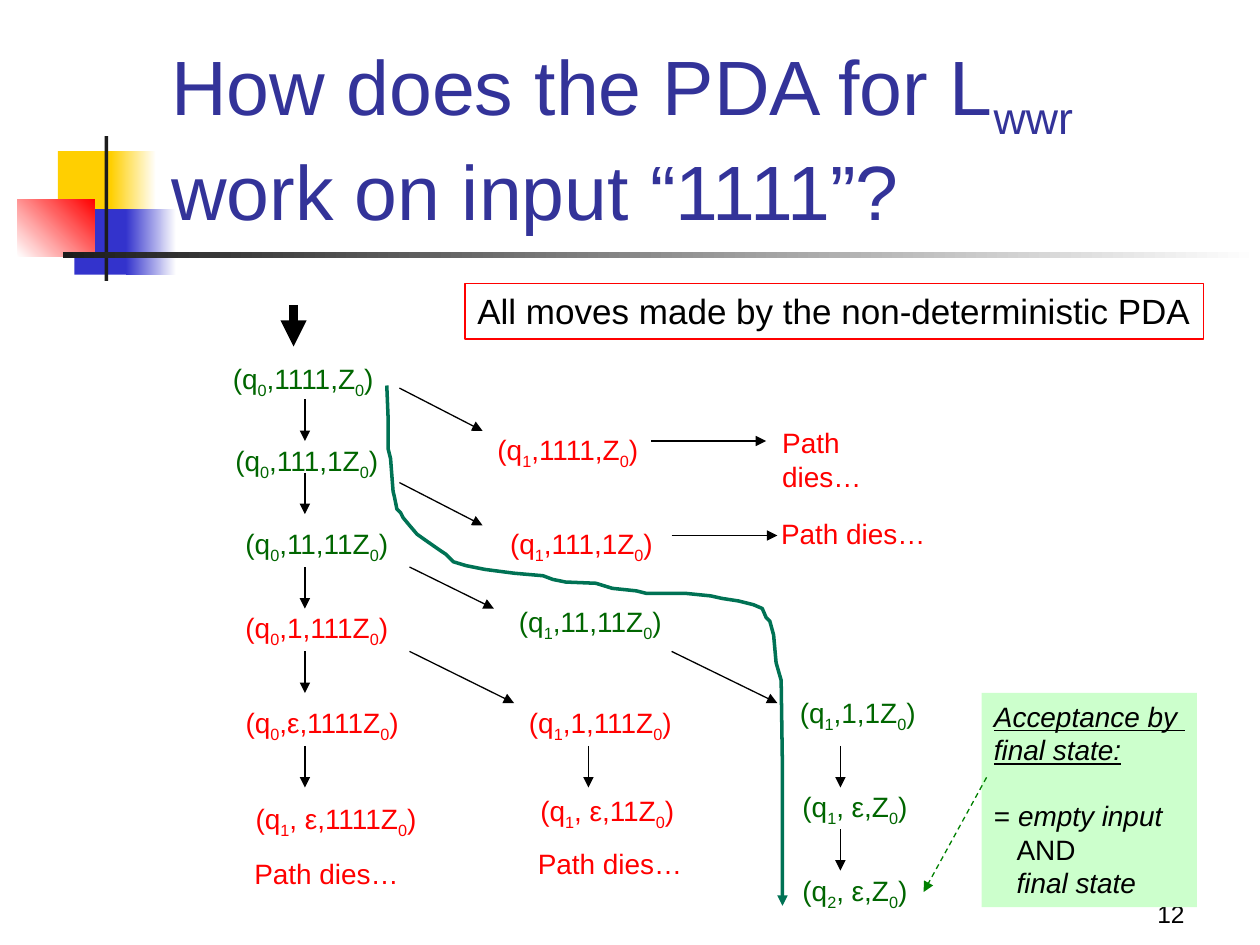
from dataclasses import dataclass

from lxml import etree
from pptx import Presentation
from pptx.dml.color import RGBColor
from pptx.enum.dml import MSO_LINE
from pptx.enum.shapes import MSO_CONNECTOR, MSO_SHAPE
from pptx.enum.text import MSO_ANCHOR, PP_ALIGN
from pptx.oxml.ns import qn
from pptx.util import Cm, Pt

RECT = MSO_SHAPE.RECTANGLE
LINE = MSO_CONNECTOR.STRAIGHT
DASH = MSO_LINE.DASH
TOP, BOTTOM = MSO_ANCHOR.TOP, MSO_ANCHOR.BOTTOM
LEFT, RIGHT = PP_ALIGN.LEFT, PP_ALIGN.RIGHT


@dataclass(frozen=True)
class Theme:
    font: str = "Arial"
    ink: str = "000000"
    title: str = "333399"
    live: str = "006600"
    dead: str = "FF0000"
    trail: str = "007254"
    hint: str = "008000"
    note: str = "CCFFCC"
    gold: str = "FFCF01"
    blue: str = "3333CC"
    dark: str = "1C1C1C"
    white: str = "FFFFFF"
    big: int = 44
    mid: int = 20
    body: int = 16
    small: int = 14


T = Theme()
GRID = 2.54  # cm in one grid step; all places below are in grid steps

# Text between bars is subscript.
TITLE = "How does the PDA for L|wwr| work on input “1111”?"
BANNER = "All moves made by the non-deterministic PDA"
DIES = "Path dies…"

# left, top, width, height, first colour, last colour, angle
DECOR = [
    (0.46, 1.2, 0.48, 0.52, T.gold, None, 0),
    (0.88, 1.2, 0.36, 0.52, T.gold, T.white, 0),
    (0.59, 1.66, 0.46, 0.52, T.blue, None, 0),
    (1, 1.66, 0.4, 0.52, T.blue, T.white, 0),
    (0.14, 1.58, 0.61, 0.46, T.white, T.dead, 45),
    (0.83, 1.08, 0.03, 1.15, T.dark, None, 0),
    (0.5, 2, 9.5, 0.05, T.dark, T.white, 0),
]

# state, input and stack, left, top, width, colour
MOVES = [
    (0, ",1111,Z", 1.75, 2.82, 1.36, T.live),
    (0, ",111,1Z", 1.77, 3.47, 1.36, T.live),
    (0, ",11,11Z", 1.85, 4.13, 1.36, T.live),
    (0, ",1,111Z", 1.85, 4.8, 1.36, T.dead),
    (0, ",ε,1111Z", 1.85, 5.55, 1.65, T.dead),
    (1, ", ε,1111Z", 1.93, 6.31, 1.52, T.dead),
    (1, ", ε,11Z", 4.19, 6.25, 1.4, T.dead),
    (1, ",1,111Z", 4.1, 5.55, 1.56, T.dead),
    (1, ",11,11Z", 4.02, 4.75, 1.48, T.live),
    (1, ",111,1Z", 3.95, 4.13, 1.36, T.dead),
    (1, ",1111,Z", 3.85, 3.38, 1.36, T.dead),
    (1, ",1,1Z", 6.25, 5.47, 1.5, T.live),
    (1, ", ε,Z", 6.27, 6.22, 1.15, T.live),
    (2, ", ε,Z", 6.27, 6.88, 1.15, T.live),
]
ENDS = [(6.11, 3.33, 1.34), (6.1, 4.05, 1.48), (4.17, 6.67, 1.48), (1.92, 6.75, 1.48)]

DROP = 0.33
DROPS = {2.42: [3.17, 3.75, 4.5, 5.17, 5.92], 4.67: [5.92], 6.67: [5.92, 6.58]}
LINKS = [
    (3.17, 3.08, 3.83, 3.42), (3.17, 3.83, 3.83, 4.17), (3.25, 4.5, 3.92, 4.83),
    (3.25, 5.17, 4.08, 5.58), (5.33, 5.17, 6.17, 5.58),
    (5.17, 3.5, 6.08, 3.5), (5.33, 4.25, 6.17, 4.25),
]

TRAIL = [
    (3.07, 3.06), (3.08, 3.3), (3.08, 3.56), (3.1, 3.64), (3.12, 3.9), (3.13, 3.94),
    (3.15, 4.04), (3.18, 4.07), (3.2, 4.11), (3.25, 4.17), (3.31, 4.24), (3.38, 4.29),
    (3.48, 4.36), (3.54, 4.4), (3.6, 4.46), (3.7, 4.49), (3.85, 4.52), (4.08, 4.55),
    (4.31, 4.57), (4.39, 4.6), (4.49, 4.62), (4.73, 4.63), (4.86, 4.67), (5.05, 4.69),
    (5.13, 4.71), (5.44, 4.71), (5.64, 4.73), (5.73, 4.75), (5.86, 4.77), (5.98, 4.8),
    (6.05, 4.83), (6.08, 4.9), (6.11, 4.93), (6.14, 5.04), (6.16, 5.26), (6.18, 5.33),
    (6.2, 5.4), (6.21, 6.1), (6.21, 7.19),
]

# text, italic part, underline, left indent, space before
NOTE = [
    ("Acceptance by ", True, True, 0, 0),
    ("final state:", True, True, 0, 0),
    ("= |empty input", False, False, 0, 18.4),
    ("AND", False, False, 0.18, 0),
    ("final state", True, False, 0.18, 0),
]


def span(*steps):
    return [Cm(GRID * n) for n in steps]


def rgb(code):
    return RGBColor.from_string(code)


def style(run, size, color):
    run.font.name, run.font.size = T.font, Pt(size)
    run.font.color.rgb = rgb(color)


def frame(shape, wrap=True, anchor=TOP):
    text = shape.text_frame
    text.word_wrap, text.vertical_anchor = wrap, anchor
    text.margin_left, text.margin_top, text.margin_right, text.margin_bottom = span(
        0.1, 0.05, 0.1, 0.05)
    return text


def label(slide, text, box, size, color, anchor=TOP, align=LEFT):
    para = frame(slide.shapes.add_textbox(*span(*box)), True, anchor).paragraphs[0]
    para.alignment = align
    for i, part in enumerate(text.split("|")):
        run = para.add_run()
        run.text = part
        style(run, size, color)
        if i % 2:
            run._r.get_or_add_rPr().set("baseline", "-25000")


def block(slide, box, fill=None, edge=None):
    shape = slide.shapes.add_shape(RECT, *span(*box))
    shape.shadow.inherit = False
    if fill:
        shape.fill.solid()
        shape.fill.fore_color.rgb = rgb(fill)
    else:
        shape.fill.background()
    if edge:
        shape.line.color.rgb, shape.line.width = rgb(edge), Pt(0.75)
    else:
        shape.line.fill.background()
    return shape


def head(shape, color, width):
    """Style a line and give its end an arrowhead."""
    shape.line.color.rgb, shape.line.width = rgb(color), Pt(width)
    etree.SubElement(shape.line._get_or_add_ln(), qn("a:tailEnd"), type="triangle")


def arrow(slide, ends, color=T.ink, width=0.75, dash=None):
    line = slide.shapes.add_connector(LINE, *span(*ends))
    if dash:
        line.line.dash_style = dash
    head(line, color, width)
    etree.SubElement(line._element.spPr, qn("a:effectLst"))


def decor(slide):
    for *box, first, last, angle in DECOR:
        fill = block(slide, box, first).fill
        if last:
            fill.gradient()
            fill.gradient_angle = angle
            for stop, color in zip(fill.gradient_stops, (first, last)):
                stop.color.rgb = rgb(color)


def note(slide):
    text = frame(block(slide, (7.79, 5.5, 1.71, 1.7), T.note), False)
    for i, (line, slant, under, indent, gap) in enumerate(NOTE):
        para = text.add_paragraph() if i else text.paragraphs[0]
        para.alignment, para.space_before = LEFT, Pt(gap)
        para._p.get_or_add_pPr().set("marL", str(Cm(GRID * indent)))
        for j, part in enumerate(line.split("|")):
            run = para.add_run()
            run.text = part
            style(run, T.body, T.ink)
            run.font.italic, run.font.underline = slant or j > 0, under


def banner(slide):
    text = frame(block(slide, (3.69, 2.25, 5.86, 0.44), edge=T.dead), False)
    text.text = BANNER
    text.paragraphs[0].alignment = LEFT
    style(text.paragraphs[0].runs[0], T.mid, T.ink)


def trail(slide):
    start, *rest = [span(*point) for point in TRAIL]
    path = slide.shapes.build_freeform(*start)
    path.add_line_segments(rest, close=False)
    shape = path.convert_to_shape()
    shape.shadow.inherit = False
    shape.fill.background()
    head(shape, T.trail, 2)


def main():
    deck = Presentation()
    deck.slide_width, deck.slide_height = span(10, 7.5)
    slide = deck.slides.add_slide(deck.slide_layouts[6])
    decor(slide)
    label(slide, "12", (7.42, 6.92, 2.08, 0.5), T.small, T.ink, BOTTOM, RIGHT)
    label(slide, TITLE, (1.26, 0.67, 8.52, 1.25), T.big, T.title, BOTTOM)
    for state, rest, x, y, wide, color in MOVES:
        label(slide, f"(q|{state}|{rest}|0|)", (x, y, wide, 0.41), T.body, color)
    for box in ENDS:
        label(slide, DIES, (*box, 0.37), T.body, T.dead)
    for x, tops in DROPS.items():
        for y in tops:
            arrow(slide, (x, y, x, y + DROP))
    for ends in LINKS:
        arrow(slide, ends)
    note(slide)
    arrow(slide, (7.83, 6.17, 7.33, 7.08), T.hint, dash=DASH)
    banner(slide)
    trail(slide)
    arrow(slide, (2.33, 2.42, 2.33, 2.75), width=5)
    deck.save("out.pptx")


if __name__ == "__main__":
    main()
